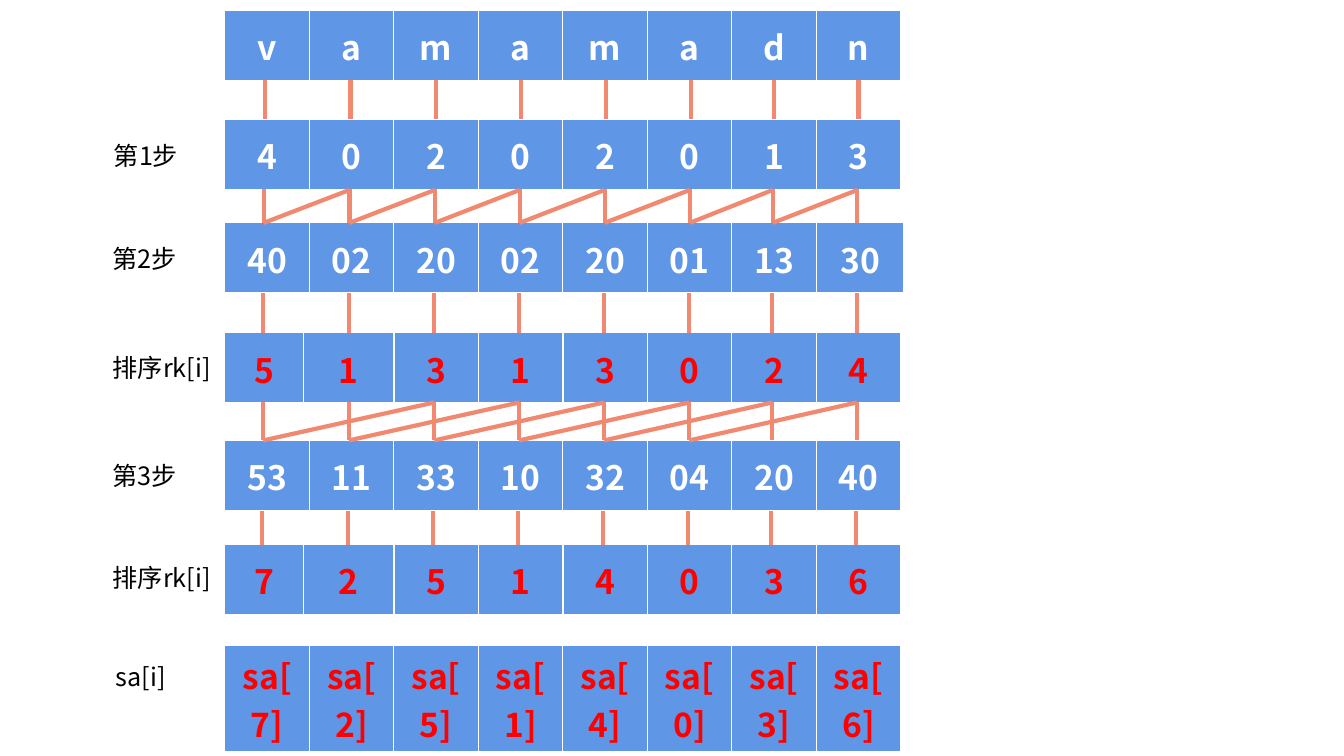
from lxml.etree import SubElement
from pptx import Presentation
from pptx.dml.color import RGBColor
from pptx.enum.shapes import MSO_CONNECTOR
from pptx.enum.text import MSO_ANCHOR, PP_ALIGN
from pptx.oxml.ns import qn
from pptx.util import Pt

BLUE = RGBColor(0x60, 0x96, 0xE6)
CORAL = RGBColor(0xF1, 0x88, 0x70)
WHITE = RGBColor(0xFF, 0xFF, 0xFF)
RED = RGBColor(0xFF, 0, 0)
BLACK = RGBColor(0, 0, 0)

# Content: top, values, text colour, widths that differ from the even column
EVEN = {}
NARROW_FIRST = {0: 56, 1: 64.8}
ROWS = [
    (7.2, "v a m a m a d n", WHITE, EVEN),
    (85, "4 0 2 0 2 0 1 3", WHITE, EVEN),
    (159.1, "40 02 20 02 20 01 13 30", WHITE, {7: 62.6}),
    (237.6, "5 1 3 1 3 0 2 4", RED, NARROW_FIRST),
    (314.6, "53 11 33 10 32 04 20 40", WHITE, EVEN),
    (388.8, "7 2 5 1 4 0 3 6", RED, NARROW_FIRST),
    (460.8, "sa[7] sa[2] sa[5] sa[1] sa[4] sa[0] sa[3] sa[6]", RED, EVEN),
]
# Label: text, left, top, width
LABELS = [
    ("第1步", 74.2, 96.5, 75.6),
    ("第2步", 73.4, 169.9, 60.5),
    ("排序rk[i]", 73.4, 248.4, 90.7),
    ("第3步", 73.4, 325.4, 60.5),
    ("排序rk[i]", 73.4, 398.2, 90.7),
    ("sa[i]", 75.6, 468.7, 54),
]
# Links between rows: top, bottom, sideways shift, columns a diagonal spans
LINKS = [
    (56.9, 85, 1.2, 0),
    (135.2, 159.2, 0.4, 1),
    (209.5, 238, 0, 0),
    (287, 314.6, 0, 2),
    (365, 389, -0.8, 0),
]
LINK_X = [188, 249.2, 310.2, 370.8, 431.5, 492.3, 551.6, 612]
TABLE_LEFT, COLUMN_WIDTH, ROW_HEIGHT = 160.6, 60.36, 51.1
BORDERS = {"a:lnL": 1, "a:lnR": 1, "a:lnT": 1, "a:lnB": 3}
CELL_FONT = {"size": Pt(24), "name": "Noto Sans CJK JP", "bold": True}
LABEL_FONT = {"size": Pt(18), "name": "Noto Sans CJK SC", "bold": False}


def write(frame, text, font_values, colour):
    para = frame.paragraphs[0]
    span = para.add_run()
    span.text = text
    for key, value in font_values.items():
        setattr(span.font, key, value)
    span.font.color.rgb = colour
    east_asian = SubElement(span.font._element, qn("a:ea"))
    east_asian.set("typeface", font_values["name"])
    return para


def add_borders(cell):
    properties = cell._tc.get_or_add_tcPr()
    for tag, width in BORDERS.items():
        border = SubElement(properties, qn(tag), w=str(Pt(width)))
        fill = SubElement(border, qn("a:solidFill"))
        SubElement(fill, qn("a:srgbClr"), val=str(WHITE))


def add_row(page, top, values, colour, special_widths):
    words = values.split()
    widths = [special_widths.get(i, COLUMN_WIDTH) for i in range(len(words))]
    table = page.shapes.add_table(1, len(words), Pt(TABLE_LEFT), Pt(top),
                                  Pt(sum(widths)), Pt(ROW_HEIGHT)).table
    for column, width, word in zip(table.columns, widths, words):
        column.width = Pt(width)
    for cell, word in zip(table.rows[0].cells, words):
        add_borders(cell)
        cell.fill.solid()
        cell.fill.fore_color.rgb = BLUE
        cell.vertical_anchor = MSO_ANCHOR.MIDDLE
        write(cell.text_frame, word, CELL_FONT, colour).alignment = PP_ALIGN.CENTER


def add_link(page, start_x, start_y, end_x, end_y):
    link = page.shapes.add_connector(MSO_CONNECTOR.STRAIGHT, Pt(start_x),
                                     Pt(start_y), Pt(end_x), Pt(end_y))
    link.line.color.rgb = CORAL
    link.line.width = Pt(3)
    SubElement(link._element.spPr, qn("a:effectLst"))


deck = Presentation()
deck.slide_width, deck.slide_height = Pt(960), Pt(540)
page = deck.slides.add_slide(deck.slide_layouts[6])

# Value rows
for row in ROWS:
    add_row(page, *row)

# Row labels
for text, left, top, width in LABELS:
    box = page.shapes.add_textbox(Pt(left), Pt(top), Pt(width), Pt(29))
    box.text_frame.word_wrap = True
    write(box.text_frame, text, LABEL_FONT, BLACK)

# Vertical links and the diagonals that pair each rank with a later one
for top, bottom, shift, span_columns in LINKS:
    centres = [x + shift for x in LINK_X]
    for x in centres:
        add_link(page, x, top, x, bottom)
    if span_columns:
        for x, later_x in zip(centres, centres[span_columns:]):
            add_link(page, later_x, top + 0.5, x, bottom)

deck.save("out.pptx")
